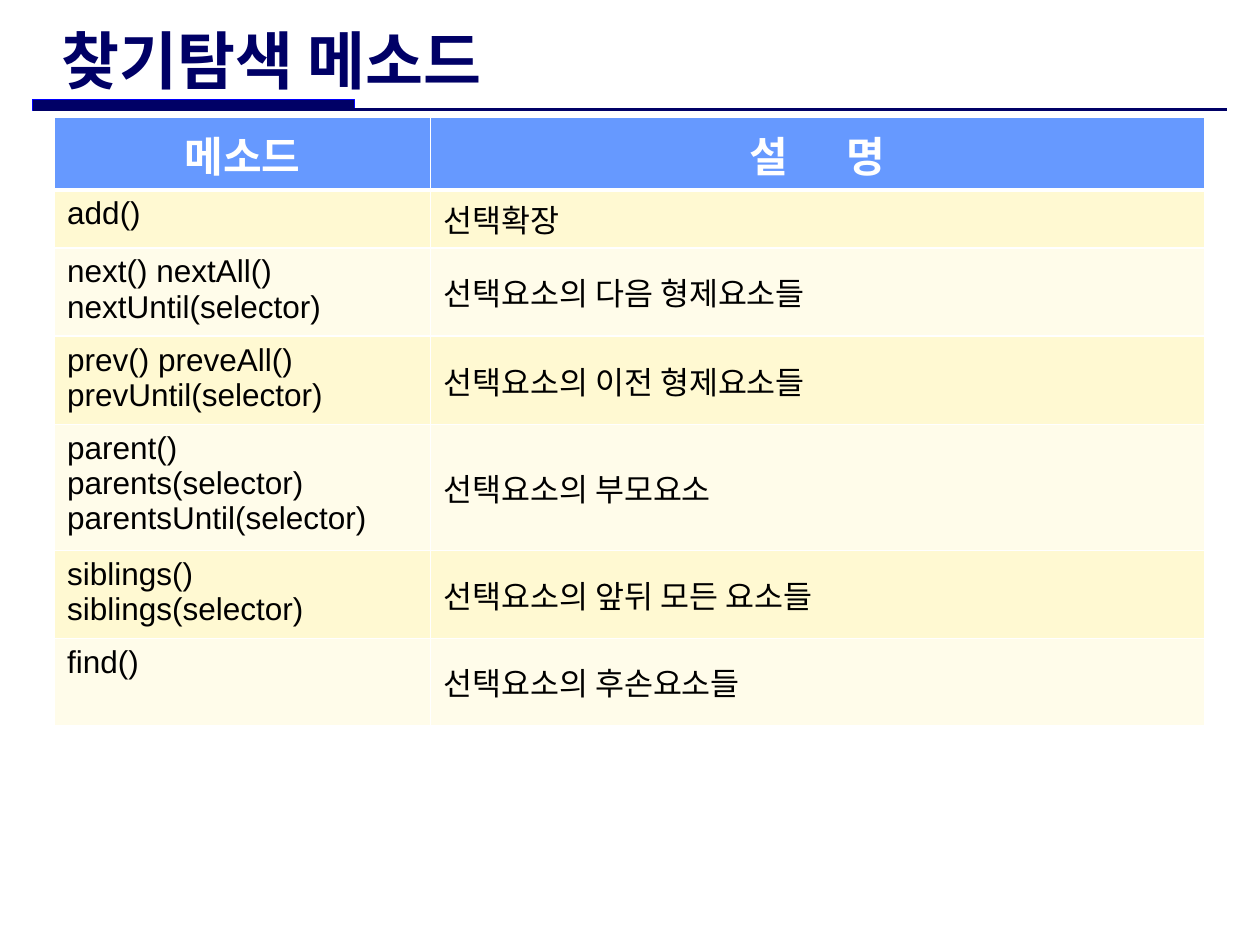
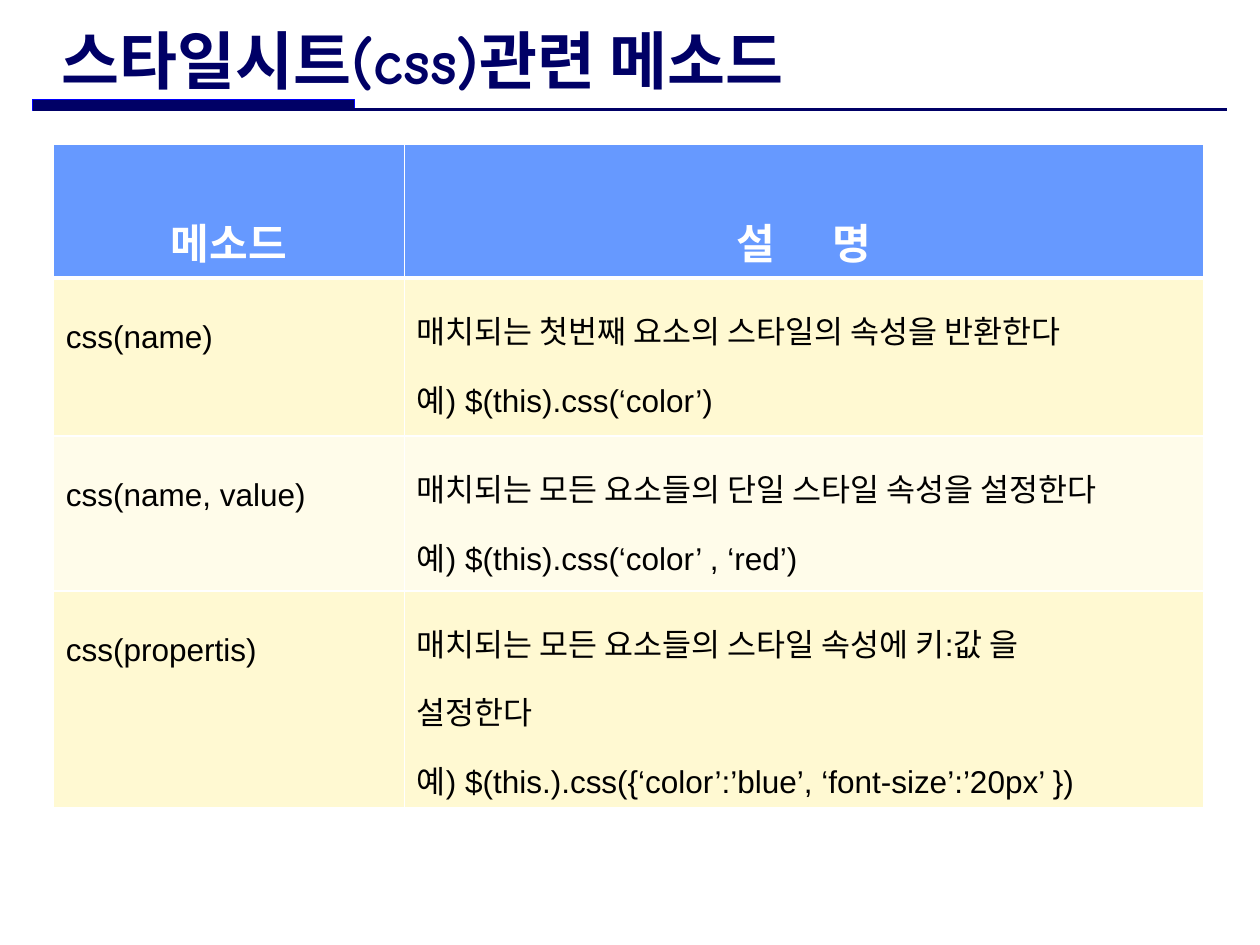
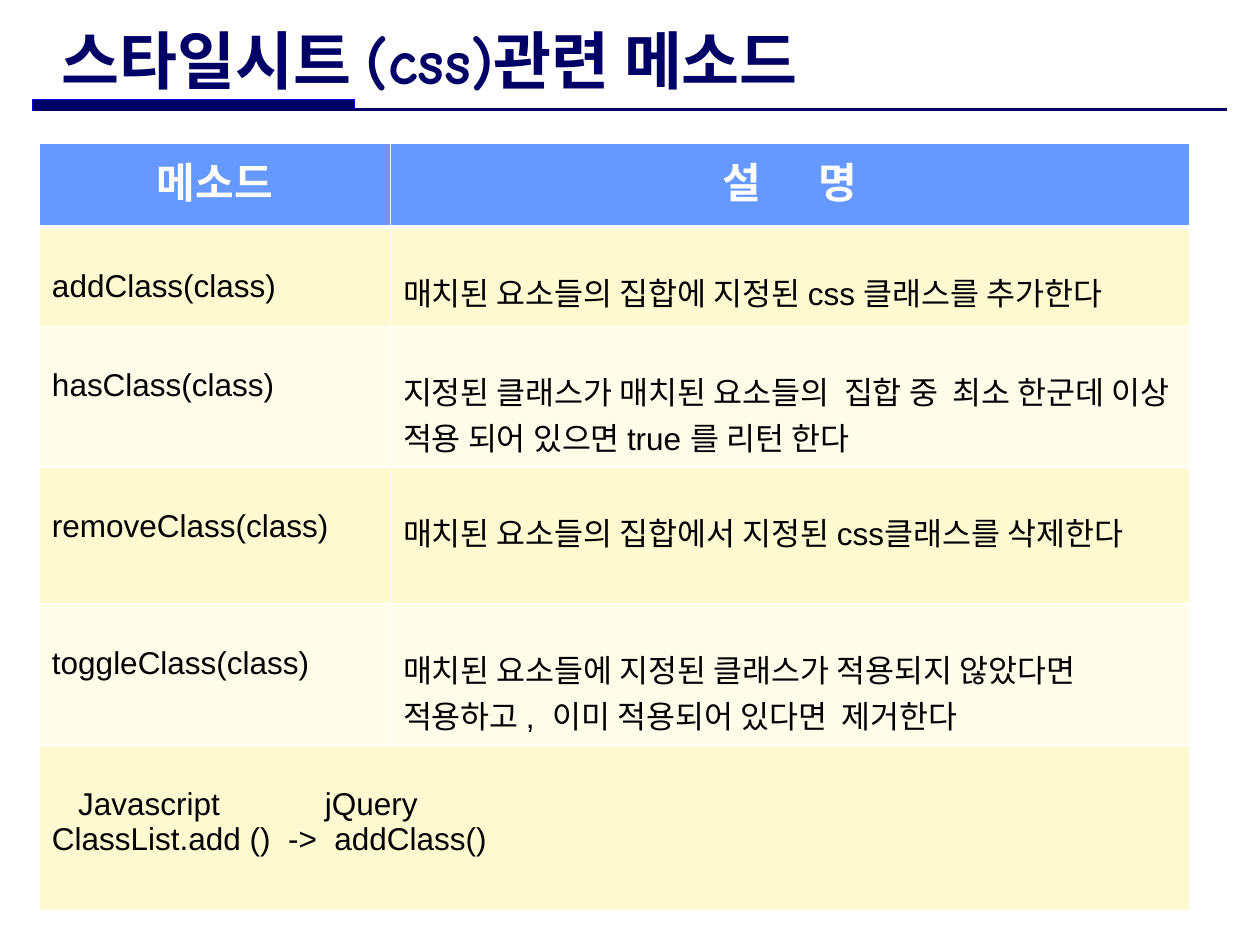
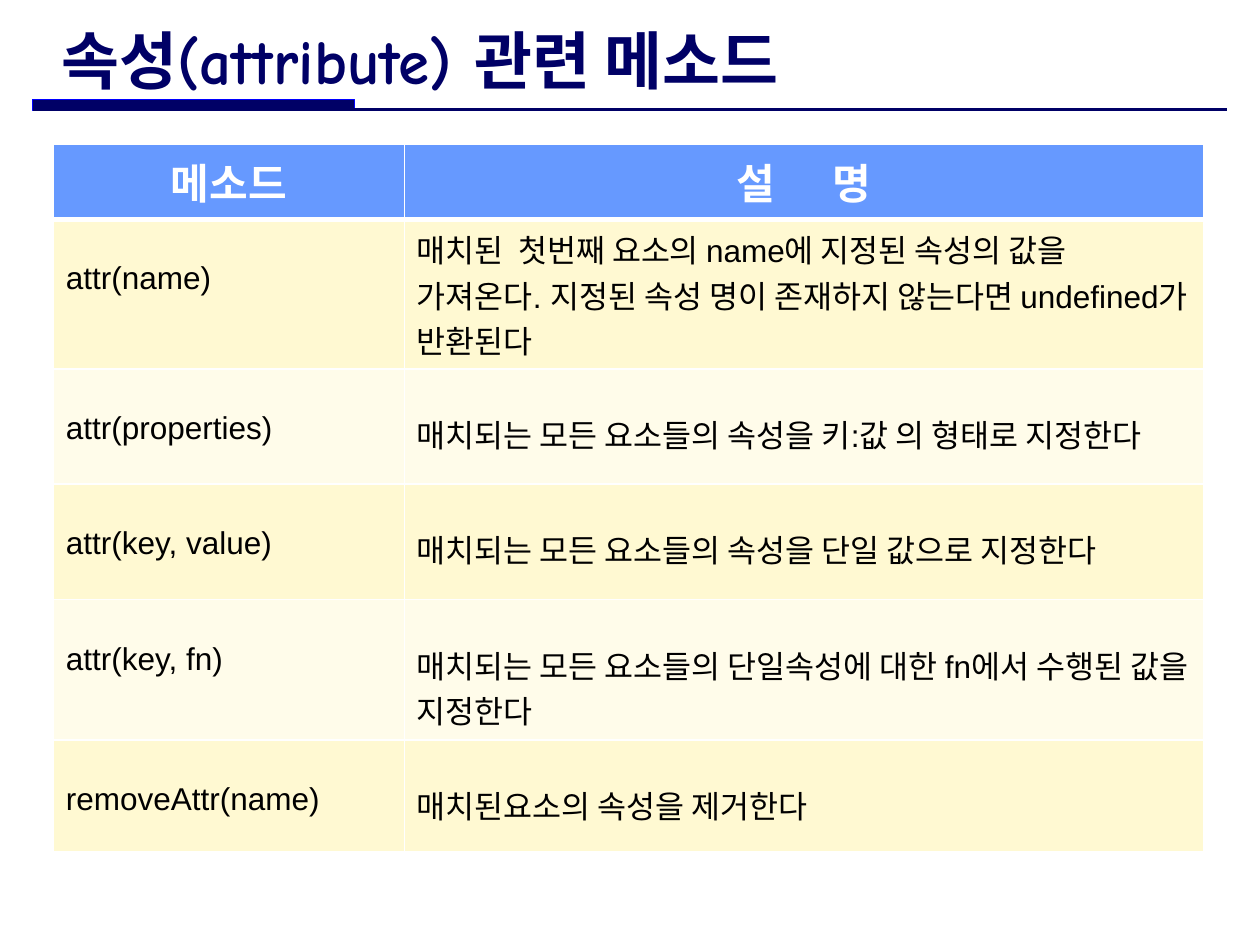
from lxml import etree
from pptx import Presentation
from pptx.dml.color import RGBColor
from pptx.enum import shapes, text
from pptx.oxml import ns
from pptx.util import Pt

NAVY = RGBColor(0x00, 0x00, 0x66)
BLUE = RGBColor(0x00, 0x00, 0xFF)
HEADER_BLUE = RGBColor(0x66, 0x99, 0xFF)
CREAM = RGBColor(0xFF, 0xF9, 0xD2)
IVORY = RGBColor(0xFF, 0xFC, 0xEA)
WHITE = RGBColor(0xFF, 0xFF, 0xFF)
BLACK = RGBColor(0x00, 0x00, 0x00)

KOREAN_FONT = "Noto Sans CJK KR"
TITLE_FONT = dict(name="Comic Neue", size=Pt(36), bold=True, color=NAVY)
HEADER_FONT = dict(name="Arial", size=Pt(24), bold=True, color=WHITE)
BODY_FONT = dict(name="Arial", size=Pt(18), bold=False, color=BLACK)

HEADER_GAP = 27.6  # extra width of the space in the second heading
LOWERED = dict(margin_top=Pt(23.9))  # text starts one line down
AT_TOP = dict(margin_top=Pt(3.6))
MIDDLE = dict(vertical_anchor=text.MSO_ANCHOR.MIDDLE)
NARROW_METHODS = (200.6, 456.7)

# Each row: height, method, description, and cell formats for the description.
# A row without a description spans both columns.
SLIDES = [
    dict(
        title="찾기탐색 메소드", left=31.2, top=67.2, widths=(214.8, 442.4),
        header_height=41.4, description_format=MIDDLE,
        rows=[
            (33.1, "add()", "선택확장"),
            (49.2, "next() nextAll()\nnextUntil(selector)", "선택요소의 다음 형제요소들"),
            (49.2, "prev() preveAll()\nprevUntil(selector)", "선택요소의 이전 형제요소들"),
            (70.6, "parent()\nparents(selector)\nparentsUntil(selector)", "선택요소의 부모요소"),
            (49.2, "siblings()\nsiblings(selector)", "선택요소의 앞뒤 모든 요소들"),
            (49.6, "find()", "선택요소의 후손요소들"),
        ],
    ),
    dict(
        title="스타일시트(css)관련 메소드", left=30.5, top=82.3, widths=NARROW_METHODS,
        header_height=76.6, method_spacing=2.0, description_spacing=1.5,
        rows=[
            (90.4, "css(name)",
             "매치되는 첫번째 요소의 스타일의 속성을 반환한다\n예) $(this).css(‘color’)"),
            (88.4, "css(name, value)",
             "매치되는 모든 요소들의 단일 스타일 속성을 설정한다\n"
             "예) $(this).css(‘color’ , ‘red’)"),
            (123.8, "css(propertis)",
             "매치되는 모든 요소들의 스타일 속성에 키:값 을\n설정한다\n"
             "예) $(this.).css({‘color’:’blue’, ‘font-size’:’20px’ })"),
        ],
    ),
    dict(
        title="스타일시트 (css)관련 메소드", left=22.5, top=81.9, widths=NARROW_METHODS,
        header_height=47.8, method_format=LOWERED, description_format=LOWERED,
        rows=[
            (56.8, "addClass(class)", "매치된 요소들의 집합에 지정된 css 클래스를 추가한다"),
            (80.4, "hasClass(class)",
             "지정된 클래스가 매치된 요소들의  집합 중  최소 한군데 이상 "
             "적용 되어 있으면 true 를 리턴 한다"),
            (78.4, "removeClass(class)", "매치된 요소들의 집합에서 지정된 css클래스를 삭제한다"),
            (80.4, "toggleClass(class)",
             "매치된 요소들에 지정된 클래스가 적용되지 않았다면 "
             "적용하고 ,  이미 적용되어 있다면  제거한다"),
            (94.9, "\tJavascript\tjQuery\nClassList.add ()  ->  addClass()", None),
        ],
    ),
    dict(
        title="속성(attribute) 관련 메소드", left=30.5, top=82.3, widths=NARROW_METHODS,
        header_height=43.2, method_format=LOWERED, description_format=LOWERED,
        rows=[
            (85.4, "attr(name)",
             "매치된  첫번째 요소의 name에 지정된 속성의 값을  가져온다. "
             "지정된 속성 명이 존재하지 않는다면 undefined가 반환된다", AT_TOP),
            (65.6, "attr(properties)", "매치되는 모든 요소들의 속성을 키:값 의 형태로 지정한다"),
            (66.2, "attr(key, value)", "매치되는 모든 요소들의 속성을 단일 값으로 지정한다"),
            (80.2, "attr(key, fn)",
             "매치되는 모든 요소들의 단일속성에 대한 fn에서 수행된 값을 지정한다"),
            (63.8, "removeAttr(name)", "매치된요소의 속성을 제거한다"),
        ],
    ),
]
TAB_STOPS = (15, 156)


def apply_format(target, values):
    for name, value in values.items():
        setattr(target, name, value)


def add_xml(parent, tag, **attributes):
    return etree.SubElement(parent, ns.qn(tag), attributes)


def add_run(paragraph, words, font_format):
    run = paragraph.add_run()
    run.text = words
    apply_format(run.font, {k: v for k, v in font_format.items() if k != "color"})
    run.font.color.rgb = font_format["color"]
    add_xml(run.font._element, "a:ea", typeface=KOREAN_FONT)
    return run


def add_title(slide, words):
    frame = slide.shapes.add_textbox(Pt(28.1), Pt(15.1), Pt(488.9), Pt(37.4)).text_frame
    apply_format(frame, dict(word_wrap=True, vertical_anchor=text.MSO_ANCHOR.MIDDLE))
    add_run(frame.paragraphs[0], words, TITLE_FONT)


def add_title_rule(slide):
    """Draw the short thick bar and the thin line under the title."""
    bar = slide.shapes.add_shape(
        shapes.MSO_SHAPE.RECTANGLE, Pt(18.7), Pt(56.9), Pt(184), Pt(6.2))
    bar.shadow.inherit = False
    bar.fill.solid()
    bar.fill.fore_color.rgb = NAVY
    bar.line.color.rgb = BLUE
    bar.line.width = Pt(0.75)

    rule = slide.shapes.add_connector(
        shapes.MSO_CONNECTOR.STRAIGHT, Pt(18.7), Pt(62.6), Pt(701.3), Pt(62.6))
    rule.line.color.rgb = NAVY
    rule.line.width = Pt(1.5)
    add_xml(rule._element.spPr, "a:effectLst")


def paint_cell(cell, color, bottom_width=1):
    """Give a cell white borders and a plain fill."""
    properties = cell._tc.get_or_add_tcPr()
    for side, width in dict(L=1, R=1, T=1, B=bottom_width).items():
        border = add_xml(properties, f"a:ln{side}", w=str(Pt(width)))
        fill = add_xml(border, "a:solidFill")
        add_xml(fill, "a:srgbClr", val=str(WHITE))
    cell.fill.solid()
    cell.fill.fore_color.rgb = color


def set_tabs(paragraph):
    tabs = add_xml(paragraph._p.get_or_add_pPr(), "a:tabLst")
    for stop in TAB_STOPS:
        add_xml(tabs, "a:tab", pos=str(Pt(stop)), algn="l")


def write_header(cell, words, spacing):
    paint_cell(cell, HEADER_BLUE, bottom_width=3)
    paragraph = cell.text_frame.paragraphs[0]
    apply_format(paragraph, dict(alignment=text.PP_ALIGN.CENTER, line_spacing=spacing))
    first, gap, last = words.partition(" ")
    add_run(paragraph, first, HEADER_FONT)
    if gap:
        space = add_run(paragraph, gap, HEADER_FONT)
        space.font._element.set("spc", str(round(HEADER_GAP * 100)))
        add_run(paragraph, last, HEADER_FONT)


def write_body(cell, words, spacing, cell_format):
    apply_format(cell, cell_format)
    frame = cell.text_frame
    for index, line in enumerate(words.split("\n")):
        paragraph = frame.add_paragraph() if index else frame.paragraphs[0]
        paragraph.line_spacing = spacing
        if "\t" in line:
            set_tabs(paragraph)
        add_run(paragraph, line, BODY_FONT)


def add_method_table(slide, left, top, widths, header_height, rows,
                     method_spacing=None, description_spacing=None,
                     method_format=AT_TOP, description_format=AT_TOP):
    heights = [header_height] + [row[0] for row in rows]
    table = slide.shapes.add_table(
        len(heights), 2, Pt(left), Pt(top), Pt(sum(widths)), Pt(sum(heights))).table
    for column, width in zip(table.columns, widths):
        column.width = Pt(width)
    for row, height in zip(table.rows, heights):
        row.height = Pt(height)

    for column, heading in enumerate(("메소드", "설 명")):
        write_header(table.cell(0, column), heading, method_spacing)
    for number, (_, method, description, *override) in enumerate(rows, 1):
        method_cell, description_cell = table.cell(number, 0), table.cell(number, 1)
        for cell in (method_cell, description_cell):
            paint_cell(cell, CREAM if number % 2 else IVORY)
        write_body(method_cell, method, method_spacing, method_format)
        if description is None:
            method_cell.merge(description_cell)
        else:
            write_body(description_cell, description, description_spacing,
                       override[0] if override else description_format)


def main():
    deck = Presentation()
    deck.slide_width, deck.slide_height = Pt(720), Pt(540)
    for content in SLIDES:
        slide = deck.slides.add_slide(deck.slide_layouts[6])
        add_title_rule(slide)
        add_title(slide, content["title"])
        add_method_table(slide, **{k: v for k, v in content.items() if k != "title"})
    deck.save("out.pptx")


if __name__ == "__main__":
    main()
